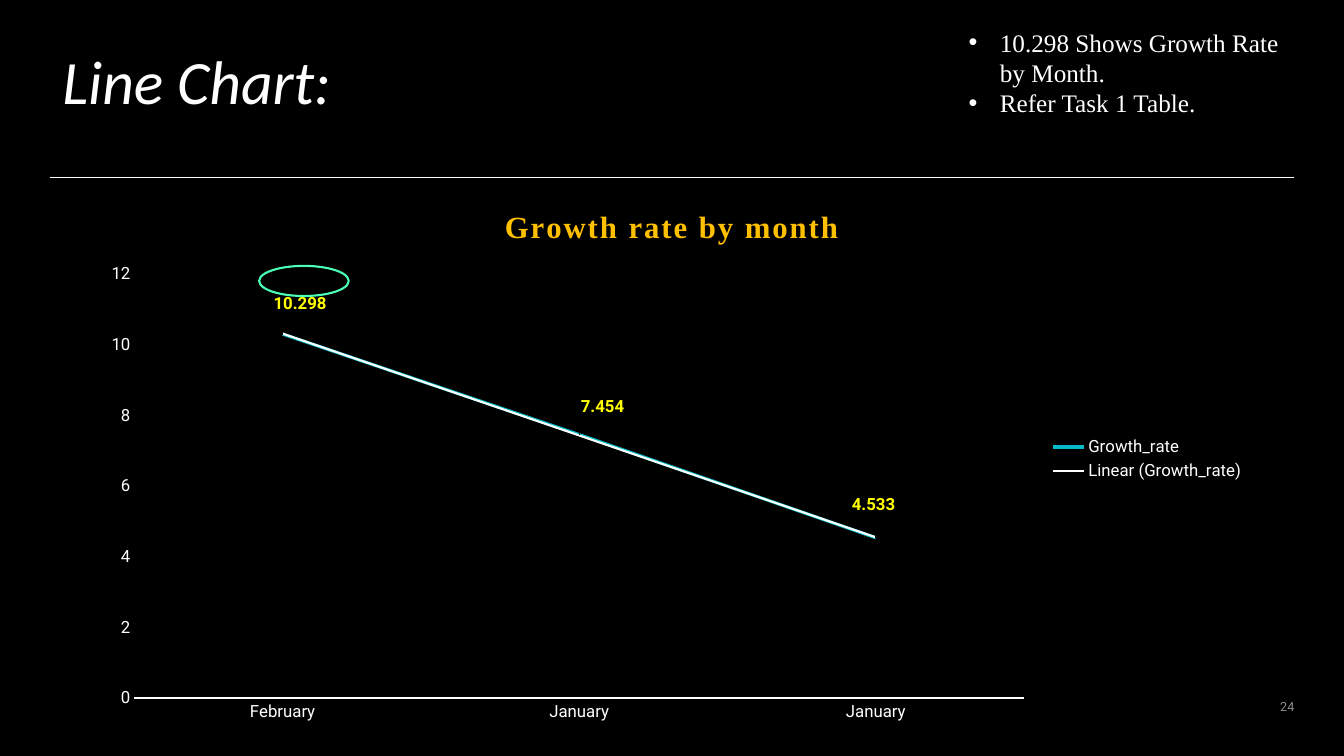
from lxml.etree import SubElement
from pptx import Presentation
from pptx.chart.data import CategoryChartData
from pptx.dml.color import RGBColor
from pptx.enum.chart import XL_CHART_TYPE as Chart, XL_LABEL_POSITION as LabelPos
from pptx.enum.chart import XL_LEGEND_POSITION as LegendPos, XL_MARKER_STYLE as Marker
from pptx.enum.chart import XL_TICK_MARK as Tick
from pptx.enum.shapes import MSO_CONNECTOR as Connector, MSO_SHAPE as Shape
from pptx.enum.text import MSO_ANCHOR as Anchor, MSO_AUTO_SIZE as AutoSize, PP_ALIGN as Align
from pptx.oxml import parse_xml
from pptx.oxml.ns import nsdecls, qn
from pptx.util import Cm, Pt

BLACK = RGBColor(0x00, 0x00, 0x00)
WHITE = RGBColor(0xFF, 0xFF, 0xFF)
GREY = RGBColor(0x8C, 0x8C, 0x8C)
GOLD = RGBColor(0xFF, 0xC0, 0x00)
YELLOW = RGBColor(0xFF, 0xFF, 0x00)
TEAL = RGBColor(0x00, 0xBA, 0xC8)
MINT = RGBColor(0x4A, 0xFF, 0xB6)
BODY, SERIF, HEADING = "Roboto", "Times New Roman", "Calibri"


def set_font(font, name, size, color, bold=False, italic=False):
    font.name, font.size, font.bold, font.italic = name, Pt(size), bold, italic
    font.color.rgb = color


def set_layout(element, index, percents, from_edge=True, inner=False):
    for old in element.findall(qn("c:layout")):
        element.remove(old)
    xml = '<c:layoutTarget val="inner"/>' if inner else ""
    if from_edge:
        xml += '<c:xMode val="edge"/><c:yMode val="edge"/>'
    xml += "".join(f'<c:{key} val="{value / 100:.3f}"/>' for key, value in zip("xywh", percents))
    element.insert(index, parse_xml(
        f'<c:layout {nsdecls("c")}><c:manualLayout>{xml}</c:manualLayout></c:layout>'))


class Deck:
    """Holds the dark style and the current slide, and draws each kind of element."""

    def __init__(self):
        self.prs = Presentation()
        self.prs.slide_width, self.prs.slide_height = Cm(33.87), Cm(19.05)
        self.s = self.prs.slides.add_slide(self.prs.slide_layouts[6])
        self.s.background.fill.solid()
        self.s.background.fill.fore_color.rgb = BLACK

    def text(self, box, lines, name, size, color=WHITE, italic=False, align=Align.LEFT,
             before=0, bullets=False):
        tf = self.s.shapes.add_textbox(*map(Cm, box)).text_frame
        tf.word_wrap = True
        if bullets:
            tf.auto_size = AutoSize.SHAPE_TO_FIT_TEXT
        else:
            tf.vertical_anchor = Anchor.MIDDLE
            tf.margin_left = tf.margin_right = tf.margin_top = tf.margin_bottom = 0
        tf.text = "\n".join(lines)
        for p in tf.paragraphs:
            set_font(p.font, name, size, color, italic=italic)
            p.alignment, p.space_before = align, Pt(before)
            if bullets:
                pPr = p._p.get_or_add_pPr()
                pPr.set("marL", str(Cm(0.79)))
                pPr.set("indent", str(-Cm(0.79)))
                bullet_font = parse_xml(f'<a:buFont {nsdecls("a")} typeface="Arial"/>')
                pPr.find(qn("a:defRPr")).addprevious(bullet_font)
                bullet_font.addnext(parse_xml(f'<a:buChar {nsdecls("a")} char="•"/>'))

    def rule(self, x1, x2, y):
        cxn = self.s.shapes.add_connector(Connector.STRAIGHT, Cm(x1), Cm(y), Cm(x2), Cm(y))
        cxn.line.color.rgb, cxn.line.width = WHITE, Pt(0.5)
        SubElement(cxn._element.spPr, qn("a:effectLst"))

    def ring(self, box, color):
        sp = self.s.shapes.add_shape(Shape.OVAL, *map(Cm, box))
        sp.shadow.inherit = False
        sp.fill.background()
        sp.line.color.rgb, sp.line.width = color, Pt(1.5)

    def line_chart(self, box, title, name, points, label_shifts):
        data = CategoryChartData()
        data.categories = [month for month, _ in points]
        data.add_series(name, [value for _, value in points])
        chart = self.s.shapes.add_chart(Chart.LINE, *map(Cm, box), data).chart
        set_font(chart.font, BODY, 10, WHITE)
        self.chart_title(chart, title)
        chart.has_legend = True
        chart.legend.position, chart.legend.include_in_layout = LegendPos.RIGHT, False
        set_font(chart.legend.font, BODY, 12, WHITE)
        for axis in (chart.category_axis, chart.value_axis):
            axis.major_tick_mark = axis.minor_tick_mark = Tick.NONE
            axis.has_major_gridlines = False
            set_font(axis.tick_labels.font, BODY, 12, WHITE)
        axis_line = chart.category_axis.format.line
        axis_line.color.rgb, axis_line.width = WHITE, Pt(1.5)
        chart.value_axis.format.line.fill.background()
        chart.value_axis.minimum_scale, chart.value_axis.maximum_scale = 0, 12
        chart.value_axis.major_unit = 2
        plot = chart.plots[0]
        plot.vary_by_categories = False
        set_layout(chart._chartSpace.chart.plotArea, 0, (3.9, 16.2, 76.3, 77.5), inner=True)
        self.style_series(plot.series[0], label_shifts)

    def chart_title(self, chart, title):
        chart.has_title = True
        tf = chart.chart_title.text_frame
        tf.text = title
        r = tf.paragraphs[0].runs[0]
        set_font(r.font, SERIF, 22, GOLD, bold=True)
        r.font._element.set("spc", "150")
        set_layout(chart.chart_title._element, 1, (35.2, 3))

    def style_series(self, series, label_shifts):
        series.smooth = False
        series.marker.style = Marker.NONE
        series.format.line.color.rgb, series.format.line.width = TEAL, Pt(2.25)
        labels = series.data_labels
        labels.show_value, labels.position = True, LabelPos.ABOVE
        set_font(labels.font, BODY, 12, YELLOW, bold=True)
        for i, shift in enumerate(label_shifts):
            label = series.points[i].data_label
            label.position = LabelPos.ABOVE
            set_font(label.font, BODY, 12, YELLOW, bold=True)
            dLbl = labels._element.findall(qn("c:dLbl"))[i]
            set_layout(dLbl, 1, shift, from_edge=False)
        series._element.find(qn("c:cat")).addprevious(parse_xml(
            f'<c:trendline {nsdecls("c", "a")}><c:spPr><a:ln w="{Pt(1.5)}"><a:solidFill>'
            f'<a:srgbClr val="{WHITE}"/></a:solidFill></a:ln></c:spPr>'
            '<c:trendlineType val="linear"/><c:dispRSqr val="0"/><c:dispEq val="0"/></c:trendline>'))


def main():
    deck = Deck()
    deck.rule(1.25, 32.61, 4.47)
    deck.text((1.22, 0.6, 11.43, 2.84), [" Line Chart:"], HEADING, 44, italic=True, before=10)
    deck.text((31.22, 17.1, 1.4, 1.4), ["24"], BODY, 9, GREY, align=Align.RIGHT)
    deck.line_chart((2.24, 4.67, 29.39, 13.79), "Growth rate by month", "Growth_rate",
                    [("February", 10.298), ("January", 7.454), ("January", 4.533)],
                    [(1.5, -3), (2, -2.5), (-0.2, -3.5)])
    deck.ring((6.53, 6.7, 2.26, 0.76), MINT)
    deck.text((24.16, 0.56, 8.86, 2.57),
              ["10.298 Shows Growth Rate by Month.", "Refer Task 1 Table."],
              SERIF, 18, bullets=True)
    deck.prs.save("out.pptx")


if __name__ == "__main__":
    main()
